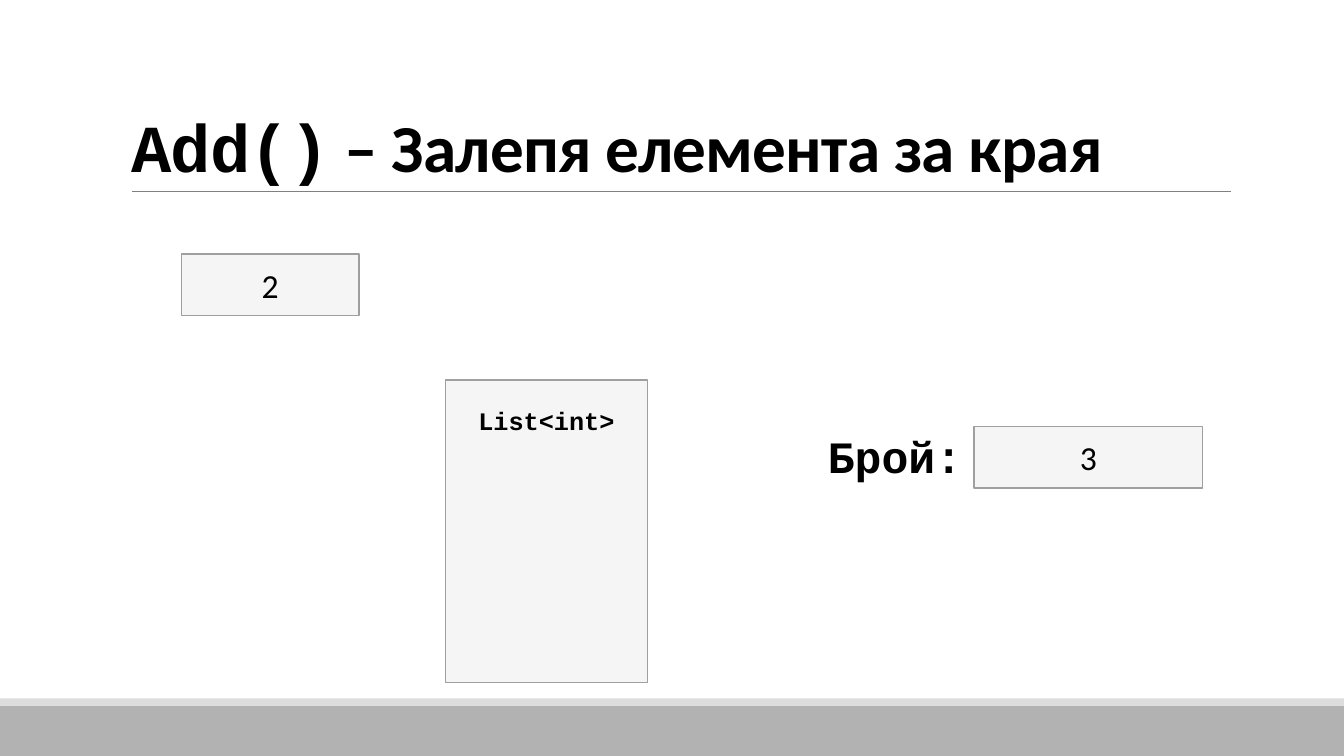
from lxml import etree
from pptx import Presentation
from pptx.dml.color import RGBColor
from pptx.enum.shapes import MSO_CONNECTOR, MSO_SHAPE
from pptx.enum.text import MSO_ANCHOR, MSO_AUTO_SIZE, PP_ALIGN
from pptx.oxml.ns import qn
from pptx.util import Inches, Pt

COLORS = {"text": "000000", "box": "BFBFBF", "edge": "9F9F9F",
          "rule": "808080", "footer": "B2B2B2", "strip": "DDDDDD"}
BODY, CODE = "Calibri", "Courier New"


def color(name):
    return RGBColor.from_string(COLORS[name])


def add_run(p, text, font, size, bold=False):
    r = p.add_run()
    r.text = text
    r.font.name, r.font.size, r.font.bold = font, Pt(size), bold
    r.font.color.rgb = color("text")
    return r


def add_rect(slide, box, fill, edge=None, opacity=None):
    """Add a rectangle; opacity is a percentage."""
    sp = slide.shapes.add_shape(MSO_SHAPE.RECTANGLE, *map(Inches, box))
    sp.shadow.inherit = False
    sp.fill.solid()
    sp.fill.fore_color.rgb = color(fill)
    if opacity:
        rgb = sp.fill._xPr.find(qn("a:solidFill"))[0]
        etree.SubElement(rgb, qn("a:alpha"), val=str(opacity * 1000))
    if edge:
        sp.line.color.rgb = color(edge)
        sp.line.width = Pt(1)
    else:
        sp.line.fill.background()
    return sp


def add_panel(slide, box):
    return add_rect(slide, box, "box", "edge", 15)


def add_value_box(slide, box, value):
    tf = add_panel(slide, box).text_frame
    tf.margin_left = tf.margin_right = Inches(0.2)
    tf.margin_top = tf.margin_bottom = Inches(0.1)
    p = tf.paragraphs[0]
    p.alignment = PP_ALIGN.CENTER
    add_run(p, value, BODY, 24)


def add_label(slide, box, text, size):
    tf = slide.shapes.add_textbox(*map(Inches, box)).text_frame
    tf.word_wrap = True
    add_run(tf.paragraphs[0], text, CODE, size, bold=True)
    return tf


def add_footer(slide, box):
    left, top, width, height = box
    strip = 0.07
    add_rect(slide, (left, top + strip, width, height - strip), "footer")
    add_rect(slide, (left, top, width, strip), "strip")


def add_title(slide, box):
    left, top, width, height = box
    title = slide.shapes.title
    title.left, title.top, title.width, title.height = map(Inches, box)
    tf = title.text_frame
    tf.auto_size = MSO_AUTO_SIZE.NONE
    tf.vertical_anchor = MSO_ANCHOR.BOTTOM
    p = tf.paragraphs[0]
    p.alignment = PP_ALIGN.LEFT
    p.line_spacing = 0.85
    for text, font in (("Add()", CODE), (" – Залепя елемента за края", BODY)):
        r = add_run(p, text, font, 48, bold=True)
        r.font._element.set("spc", "-50")

    bottom = Inches(top + height)
    rule = slide.shapes.add_connector(MSO_CONNECTOR.STRAIGHT, Inches(left + 0.11),
                                      bottom, Inches(left + width + 0.01), bottom)
    rule.line.color.rgb = color("rule")
    rule.line.width = Pt(0.5)
    etree.SubElement(rule._element.spPr, qn("a:effectLst"))


def add_list(slide, box):
    left, top, width, height = box
    add_panel(slide, box)
    tf = add_label(slide, (left, top + 0.2, width, 0.5), "List<int>", 18)
    tf.paragraphs[0].alignment = PP_ALIGN.CENTER


def add_counter(slide, box):
    left, top, width, height = box
    tf = add_label(slide, (left, top + 0.03, 2.17, 0.58), "Брой:", 32)
    tf.vertical_anchor = MSO_ANCHOR.MIDDLE
    tf.margin_left = tf.margin_right = Inches(0.12)
    tf.margin_top = tf.margin_bottom = Inches(0.04)
    p = tf.paragraphs[0]
    p.line_spacing = 0.9
    p._p.get_or_add_pPr().set("marL", str(Inches(0.5)))
    add_value_box(slide, (left + 2.07, top, width - 2.07, height), "3")


def main():
    prs = Presentation()
    prs.slide_width, prs.slide_height = Inches(13.33), Inches(7.5)
    slide = prs.slides.add_slide(prs.slide_layouts[5])
    add_footer(slide, (0, 6.93, 13.33, 0.57))
    add_title(slide, (1.2, 0.31, 11, 1.59))
    add_value_box(slide, (1.8, 2.52, 1.76, 0.61), "2")
    add_list(slide, (4.42, 3.77, 2, 3))
    add_counter(slide, (7.59, 4.23, 4.34, 0.61))
    prs.save("out.pptx")


if __name__ == "__main__":
    main()
